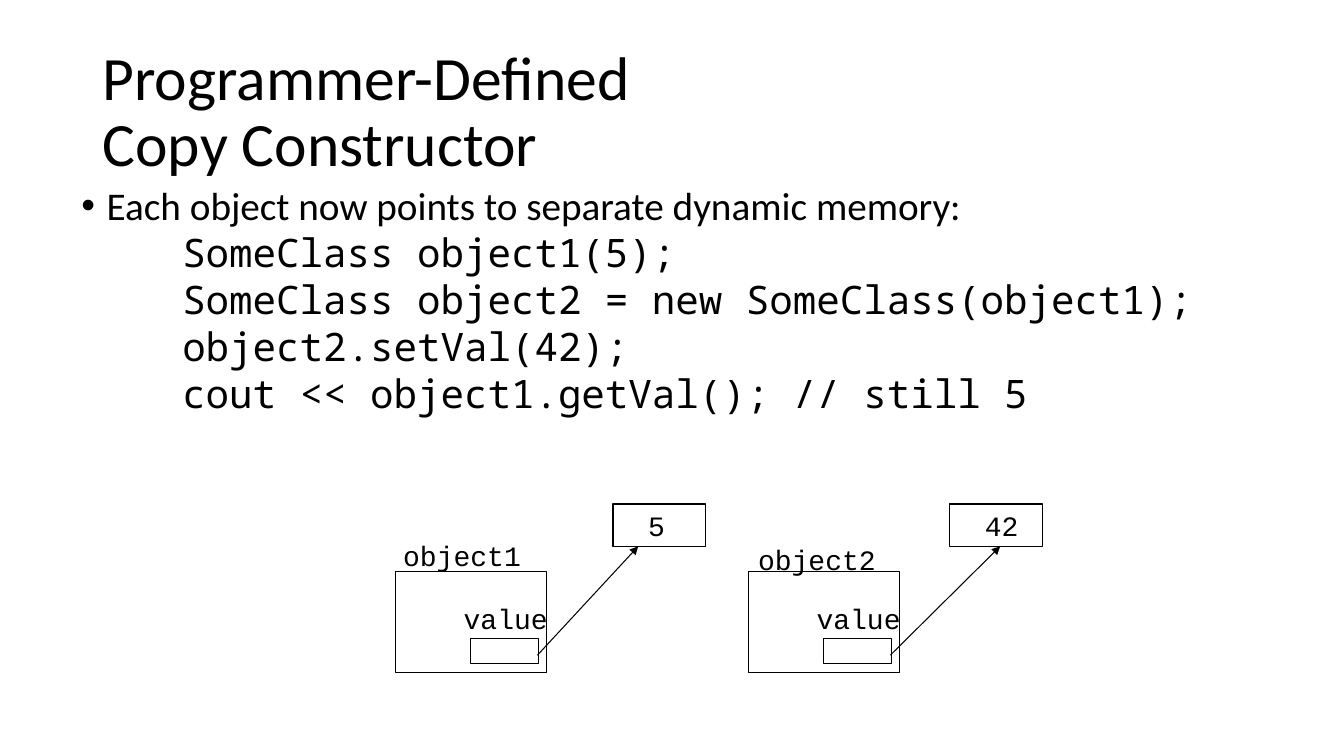
from lxml import etree
from pptx import Presentation
from pptx.dml.color import RGBColor
from pptx.enum.shapes import MSO_CONNECTOR, MSO_SHAPE
from pptx.enum.text import MSO_ANCHOR, MSO_AUTO_SIZE
from pptx.oxml.ns import qn
from pptx.util import Inches, Pt

RECTANGLE = MSO_SHAPE.RECTANGLE
STRAIGHT = MSO_CONNECTOR.STRAIGHT
MIDDLE = MSO_ANCHOR.MIDDLE
GROW = MSO_AUTO_SIZE.SHAPE_TO_FIT_TEXT
COLORS = {"ink": "000000", "paper": "FFFFFF"}
INK = RGBColor.from_string(COLORS["ink"])
HEADING = {"name": "Calibri", "size": Pt(44)}
BODY = {"name": "Calibri", "size": Pt(28)}
CODE = {"name": "Noto Sans Mono", "size": Pt(28)}
LABEL = {"name": "Courier New", "size": Pt(20)}
CODE_LINES = [
    "SomeClass object1(5);",
    "SomeClass object2 = new SomeClass(object1);",
    "object2.setVal(42);",
    "cout << object1.getVal(); // still 5",
]


def style(target, formats):
    for attribute, value in formats.items():
        setattr(target, attribute, value)


def write(paragraph, text, font, spacing=None):
    paragraph.text = text
    style(paragraph.font, font)
    paragraph.font.color.rgb = INK
    style(paragraph, spacing or {})


def add_frame(slide, box, formats):
    frame = slide.shapes.add_textbox(*map(Inches, box)).text_frame
    style(frame, formats)
    return frame


def add_title(slide, box):
    frame = add_frame(slide, box, {"word_wrap": True, "vertical_anchor": MIDDLE})
    write(frame.paragraphs[0], "Programmer-Defined\vCopy Constructor",
          HEADING, {"line_spacing": 0.9})


def indent(paragraph, left, bullet=None):
    properties = paragraph._p.get_or_add_pPr()
    properties.set("marL", str(Inches(left)))
    properties.set("indent", str(Inches(-0.25)))
    if bullet:
        etree.SubElement(properties, qn("a:buFont")).set("typeface", "Arial")
        etree.SubElement(properties, qn("a:buChar")).set("char", bullet)
        defaults = properties.find(qn("a:defRPr"))
        if defaults is not None:
            properties.append(defaults)


def add_body(slide, box):
    frame = add_frame(slide, box, {"word_wrap": True})
    intro = frame.paragraphs[0]
    write(intro, "Each object now points to separate dynamic memory:",
          BODY, {"line_spacing": 0.85})
    indent(intro, 0.25, "•")
    for line in CODE_LINES:
        statement = frame.add_paragraph()
        write(statement, line, CODE,
              {"line_spacing": 0.85, "space_before": Pt(5)})
        indent(statement, 1.25)


def add_cell(slide, box):
    cell = slide.shapes.add_shape(RECTANGLE, *map(Inches, box))
    cell.shadow.inherit = False
    cell.fill.background()
    cell.line.color.rgb = INK
    cell.line.width = Pt(0.75)


def add_label(slide, box, text):
    frame = add_frame(slide, box, {"word_wrap": False, "auto_size": GROW})
    write(frame.paragraphs[0], text, LABEL)


def add_pointer(slide, start, end):
    pointer = slide.shapes.add_connector(
        STRAIGHT, *map(Inches, (*start, *end)))
    pointer.line.color.rgb = INK
    pointer.line.width = Pt(0.75)
    etree.SubElement(pointer.line._get_or_add_ln(),
                     qn("a:tailEnd")).set("type", "triangle")
    etree.SubElement(pointer._element.spPr, qn("a:effectLst"))


def add_object(slide, box, name, name_at, number, number_width, memory_x, tip_x):
    left, top, width, height = box
    memory_top = top - 0.67
    memory_left = left + memory_x
    add_cell(slide, box)
    add_cell(slide, (left + 0.75, top + 0.66, 0.67, 0.25))
    add_cell(slide, (memory_left, memory_top, 0.92, 0.42))
    add_label(slide, (left + name_at[0], top + name_at[1], 1.37, 0.43), name)
    add_label(slide, (left + 0.58, top + 0.25, 1.05, 0.43), "value")
    add_label(slide, (memory_left + 0.25, memory_top, number_width, 0.43), number)
    add_pointer(slide, (left + 1.41, top + 0.83),
                (left + tip_x, memory_top + 0.42))


def build_slide(presentation):
    slide = presentation.slides.add_slide(presentation.slide_layouts[6])
    background = slide.background.fill
    background.solid()
    background.fore_color.rgb = RGBColor.from_string(COLORS["paper"])
    add_title(slide, (0.92, 0.4, 11.5, 1.45))
    add_body(slide, (0.71, 1.82, 11.93, 4.09))
    objects = [
        ("object1", (-0.02, -0.38), "5", 0.37, 2.16, 2.41),
        ("object2", (0, -0.34), "42", 0.54, 2, 2.5),
    ]
    for index, details in enumerate(objects):
        add_object(slide, (3.92 + 3.5 * index, 5.67, 1.5, 1), *details)


presentation = Presentation()
presentation.slide_width = Inches(13.33)
presentation.slide_height = Inches(7.5)
build_slide(presentation)
presentation.save("out.pptx")
